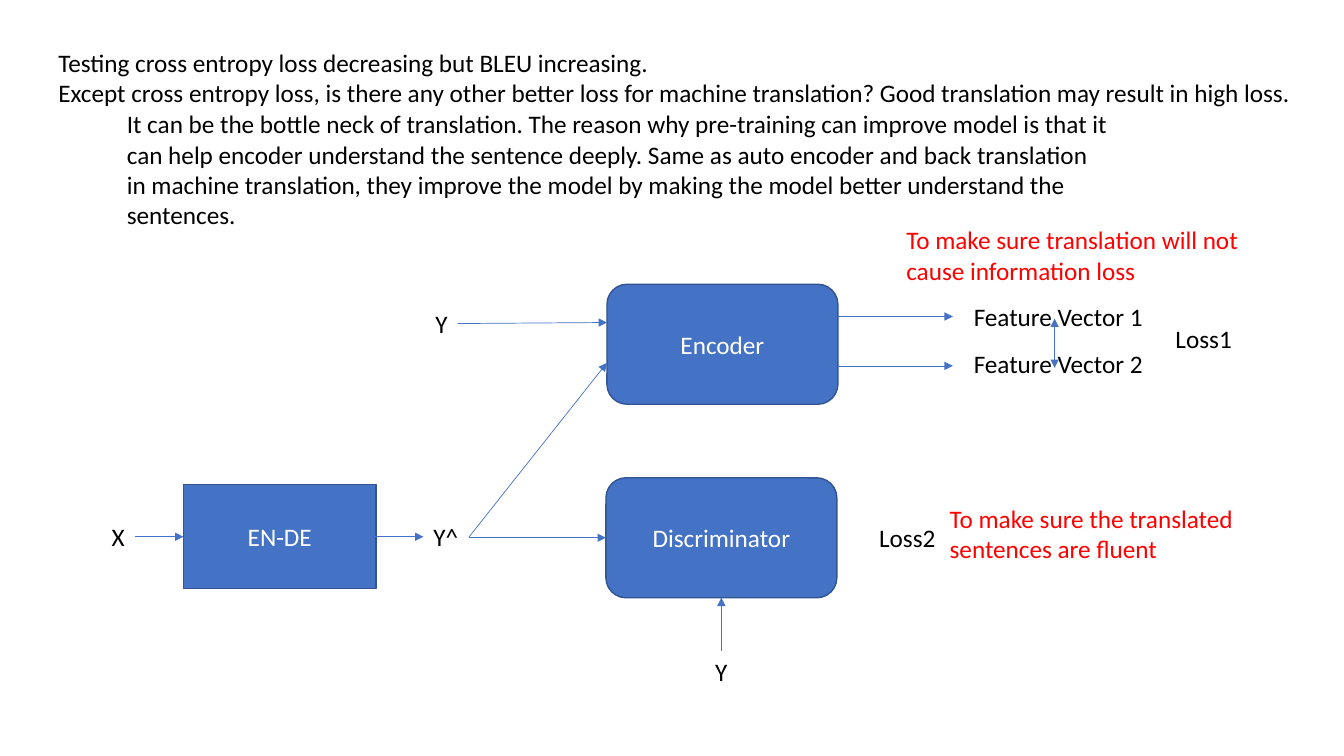
from pptx import Presentation
from pptx.dml.color import RGBColor
from pptx.enum.shapes import MSO_CONNECTOR as CONN, MSO_SHAPE as SHAPE
from pptx.enum.text import MSO_ANCHOR as ANCHOR, MSO_AUTO_SIZE as AUTO, PP_ALIGN as ALIGN
from pptx.oxml.ns import qn
from pptx.util import Inches, Pt
from lxml.etree import SubElement

BLUE = RGBColor(0x44, 0x72, 0xC4)
NAVY = RGBColor(0x32, 0x54, 0x91)
BLACK = RGBColor(0, 0, 0)
WHITE = RGBColor(255, 255, 255)
RED = RGBColor(255, 0, 0)
LINE_H = 0.4


def write(tf, text, color=BLACK, align=ALIGN.LEFT, size=18, font="Calibri"):
    """Fill a text frame with one paragraph for each line of text."""
    for i, line in enumerate(text.split("\n")):
        p = tf.add_paragraph() if i else tf.paragraphs[0]
        p.alignment = align
        r = p.add_run()
        r.text = line
        r.font.size, r.font.name = Pt(size), font
        r.font.color.rgb = color


def label(s, text, x, y, w, h=LINE_H, wrap=False, **fmt):
    """Add a text box that grows with its text."""
    tf = s.shapes.add_textbox(*map(Inches, (x, y, w, h))).text_frame
    tf.word_wrap = wrap
    tf.auto_size = AUTO.SHAPE_TO_FIT_TEXT
    write(tf, text, **fmt)


def block(s, text, x, y, w, h, kind=SHAPE.ROUNDED_RECTANGLE):
    """Add a blue model block with a centred name."""
    sp = s.shapes.add_shape(kind, *map(Inches, (x, y, w, h)))
    sp.shadow.inherit = False
    sp.fill.solid()
    sp.fill.fore_color.rgb = BLUE
    sp.line.color.rgb, sp.line.width = NAVY, Pt(1)
    sp.text_frame.vertical_anchor = ANCHOR.MIDDLE
    write(sp.text_frame, text, color=WHITE, align=ALIGN.CENTER)


def arrow(s, x1, y1, x2, y2, both=False):
    """Add a thin arrow, with a second head if both is set."""
    cx = s.shapes.add_connector(CONN.STRAIGHT, *map(Inches, (x1, y1, x2, y2)))
    cx.line.color.rgb, cx.line.width = BLUE, Pt(0.5)
    ln = cx.line._get_or_add_ln()
    for end in ("a:headEnd", "a:tailEnd") if both else ("a:tailEnd",):
        SubElement(ln, qn(end), type="triangle")
    SubElement(cx._element.spPr, qn("a:effectLst"))


def notes(s, x, y, w):
    """Place the opening remarks and the indented explanation."""
    label(s, "Testing cross entropy loss decreasing but BLEU increasing.\n"
          "Except cross entropy loss, is there any other better loss for machine "
          "translation? Good translation may result in high loss.", x, y, w, 0.71)
    label(s, "It can be the bottle neck of translation. The reason why pre-training "
          "can improve model is that it can help encoder understand the sentence "
          "deeply. Same as auto encoder and back translation in machine translation, "
          "they improve the model by making the model better understand the "
          "sentences.", x + 0.68, y + 0.61, 9.93, 1.31, wrap=True)


def translator(s, x, y, h):
    """Place the translation model between X and Y^."""
    mid = y + h / 2
    block(s, "EN-DE", x + 0.81, y, 1.91, h, kind=SHAPE.RECTANGLE)
    for text, dx, w in (("X", 0, 0.33), ("Y^", 3.19, 0.45)):
        label(s, text, x + dx, mid - LINE_H / 2, w)
    for dx in (0.33, 2.71):
        arrow(s, x + dx, mid, x + dx + 0.48, mid)


def encoder(s, x, y, w, h):
    """Place the encoder, its inputs, feature vectors and first loss."""
    right = x + w
    block(s, "Encoder", x, y, w, h)
    label(s, "Y", x - 1.8, y + 0.19, 0.32)
    arrow(s, x - 1.48, y + 0.39, x, y + 0.38)
    arrow(s, x - 1.37, y + 2.51, x, y + 0.78)
    for i in range(2):
        out = y + 0.32 + 0.49 * i
        arrow(s, right, out, right + 1.14, out)
        label(s, f"Feature Vector {i + 1}", right + 1.25, y + 0.12 + 0.47 * i, 1.9)
    arrow(s, right + 2.15, y + 0.34, right + 2.15, y + 0.83, both=True)
    label(s, "Loss1", right + 3.25, y + 0.34, 0.82)
    label(s, "To make sure translation will not cause information loss",
          right + 0.58, y - 0.64, 3.81, 0.71, wrap=True, color=RED)


def discriminator(s, x, y, w, h):
    """Place the discriminator, its inputs and second loss."""
    mid, center = y + h / 2, x + w / 2
    block(s, "Discriminator", x, y, w, h)
    arrow(s, x - 1.36, mid, x, mid)
    arrow(s, center, y + h + 0.53, center, y + h)
    label(s, "Y", center - 0.16, y + h + 0.53, 0.32)
    label(s, "Loss2", x + w + 0.32, mid - LINE_H / 2, 0.82)
    label(s, "To make sure the translated sentences are fluent",
          x + w + 1.02, y + 0.2, 3.81, 0.71, wrap=True, color=RED)


def main():
    """Build and save the slide."""
    prs = Presentation()
    prs.slide_width, prs.slide_height = Inches(13.33), Inches(7.5)
    s = prs.slides.add_slide(prs.slide_layouts[6])
    translator(s, 1.01, 4.81, 1.03)
    encoder(s, 6.02, 2.82, 2.29, 1.19)
    discriminator(s, 6.01, 4.74, 2.29, 1.19)
    notes(s, 0.48, 0.42, 12.57)
    prs.save("out.pptx")


main()
